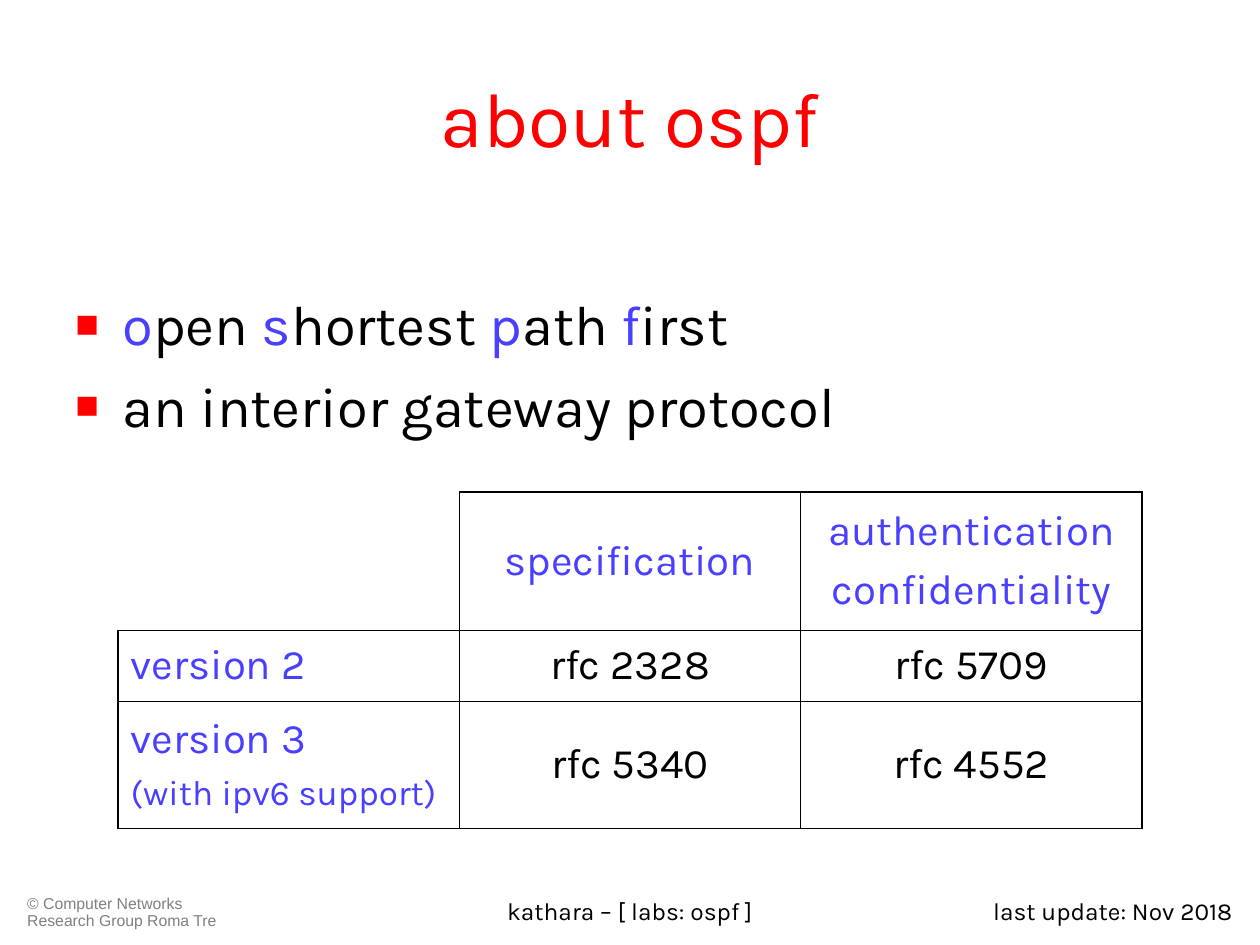
from lxml.etree import SubElement
from pptx import Presentation
from pptx.dml.color import RGBColor
from pptx.enum.text import MSO_ANCHOR, PP_ALIGN
from pptx.oxml.ns import qn
from pptx.util import Cm, Pt

BLACK = RGBColor(0x00, 0x00, 0x00)
BLUE = RGBColor(0x48, 0x3F, 0xFF)
GRAY = RGBColor(0x80, 0x80, 0x80)
RED = RGBColor(0xFF, 0x00, 0x00)
THICK, THIN = Pt(1.08), Pt(0.45)


class LabSlide:
    font = "Karla"

    def __init__(self, deck):
        self.page = deck.slides.add_slide(deck.slide_layouts[6])

    def span(self, para, text, size, color, font=None):
        span = para.add_run()
        span.text = text
        span.font.name = font or self.font
        span.font.size = Pt(size)
        span.font.color.rgb = color

    def frame(self, left, top, width, height):
        box = self.page.shapes.add_textbox(Cm(left), Cm(top), Cm(width), Cm(height))
        box.text_frame.word_wrap = True
        return box.text_frame

    def text(self, place, text, size, color, align, font=None, spacing=None, anchor=MSO_ANCHOR.TOP):
        frame = self.frame(*place)
        frame.vertical_anchor = anchor
        para = frame.paragraphs[0]
        para.alignment = align
        para.line_spacing = spacing
        self.span(para, text, size, color, font)

    def paragraph(self, frame, number, space):
        if number == 0:
            return frame.paragraphs[0]
        para = frame.add_paragraph()
        para.space_before = Pt(space)
        return para

    def bullets(self, place, items):
        frame = self.frame(*place)
        for number, spans in enumerate(items):
            para = self.paragraph(frame, number, 8)
            properties = para._p.get_or_add_pPr()
            properties.set("marL", str(Cm(0.95)))
            properties.set("indent", str(-Cm(0.95)))
            color = SubElement(properties, qn("a:buClr"))
            SubElement(color, qn("a:srgbClr"), val=str(RED))
            SubElement(properties, qn("a:buSzPct"), val="70000")
            SubElement(properties, qn("a:buFont"), typeface="Arial")
            SubElement(properties, qn("a:buChar"), char="■")
            for text, ink in spans:
                self.span(para, text, 32, ink)

    def border(self, cell, side, width):
        line = SubElement(cell._tc.get_or_add_tcPr(), qn(f"a:ln{side}"), w=str(width))
        fill = SubElement(line, qn("a:solidFill"))
        SubElement(fill, qn("a:srgbClr"), val=str(BLACK))

    def table(self, place, row_heights, rows):
        left, top, width = place
        columns = len(rows[0])
        table = self.page.shapes.add_table(
            len(rows), columns, Cm(left), Cm(top), Cm(width), Cm(sum(row_heights))
        ).table
        table.first_row = table.horz_banding = False
        for column in table.columns:
            column.width = Cm(width / columns)
        for r, texts in enumerate(rows):
            table.rows[r].height = Cm(row_heights[r])
            for c, lines in enumerate(texts):
                self.cell(table.cell(r, c), r, c, lines)

    def cell(self, cell, row, column, lines):
        widths = [THICK, THICK, THIN, THICK]
        edges = {"L": widths[column], "R": widths[column + 1],
                 "T": widths[row], "B": widths[row + 1]}
        for side, width in edges.items():
            if lines or side in "RB":
                self.border(cell, side, width)
        cell.fill.background()
        cell.vertical_anchor = MSO_ANCHOR.MIDDLE
        color = BLACK if row and column else BLUE
        for number, (text, size) in enumerate(lines):
            para = self.paragraph(cell.text_frame, number, size / 4)
            para.alignment = PP_ALIGN.CENTER if column else PP_ALIGN.LEFT
            self.span(para, text, size, color)


def main():
    deck = Presentation()
    deck.slide_width, deck.slide_height = Cm(25.4), Cm(19.05)
    slide = LabSlide(deck)

    footer_top, footer_height = 17.93, 0.91
    slide.text((0.3, footer_top, 4.4, footer_height), "© Computer Networks Research Group Roma Tre",
               9, GRAY, PP_ALIGN.LEFT, font="Arial", spacing=0.9)
    slide.text((19.3, footer_top, 5.8, footer_height), "last update: Nov 2018",
               14, BLACK, PP_ALIGN.RIGHT)
    slide.text((6.5, footer_top, 12.4, footer_height), "kathara – [ labs: ospf ]",
               14, BLACK, PP_ALIGN.CENTER)
    slide.text((1.27, 0.76, 22.86, 3.18), "about ospf", 44, RED, PP_ALIGN.CENTER,
               anchor=MSO_ANCHOR.MIDDLE)

    initials = []
    for word in ("open ", "shortest ", "path ", "first"):
        initials += [(word[0], BLUE), (word[1:], BLACK)]
    slide.bullets((1.27, 5.72, 22.86, 11.3),
                  [initials, [("an interior gateway protocol", BLACK)]])

    slide.table((2.38, 9.92, 20.64), (2.79, 1.42, 2.57), [
        [[], [("specification", 24)], [("authentication", 24), ("confidentiality", 24)]],
        [[("version 2", 24)], [("rfc 2328", 24)], [("rfc 5709", 24)]],
        [[("version 3", 24), ("(with ipv6 support)", 20)], [("rfc 5340", 24)], [("rfc 4552", 24)]],
    ])
    deck.save("out.pptx")


if __name__ == "__main__":
    main()
